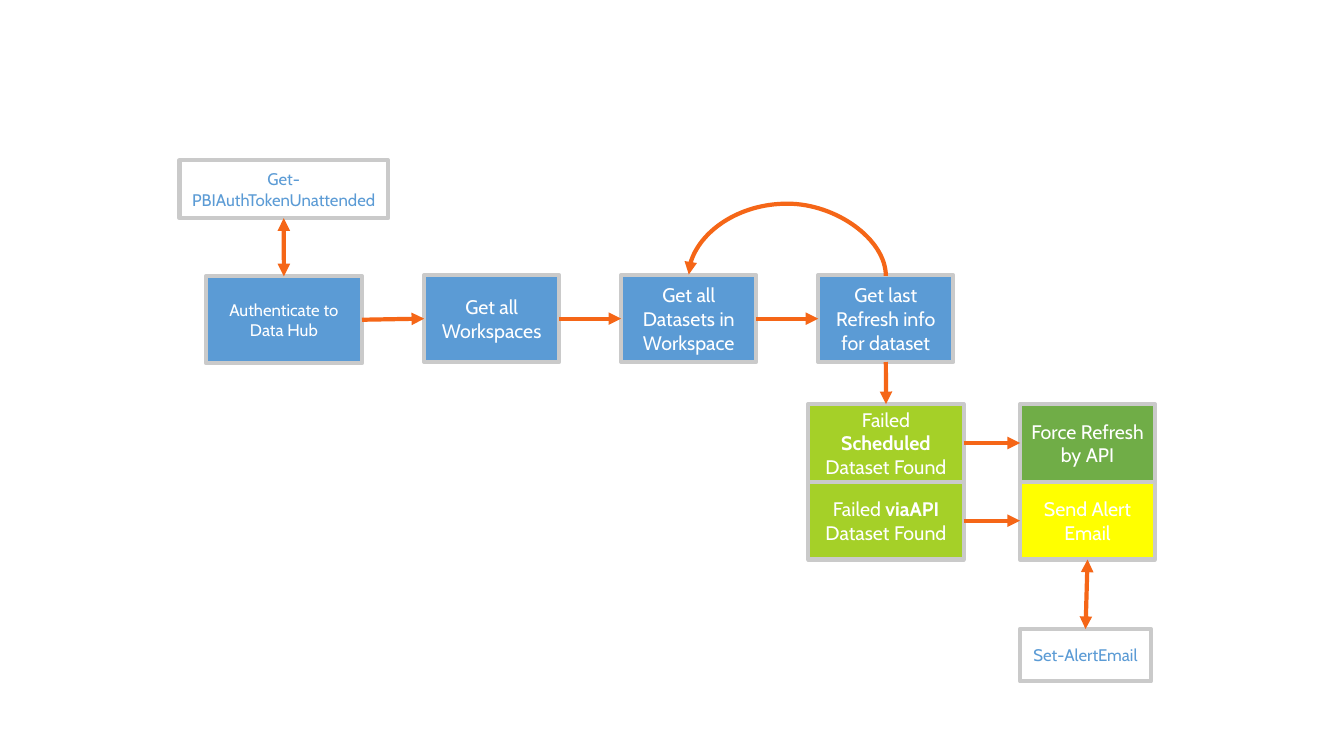
from lxml import etree
from pptx import Presentation
from pptx.dml.color import RGBColor
from pptx.enum.shapes import MSO_CONNECTOR, MSO_SHAPE
from pptx.enum.text import MSO_ANCHOR, PP_ALIGN
from pptx.oxml.ns import qn
from pptx.util import Pt

RECT = MSO_SHAPE.RECTANGLE
LINE, CURVE = MSO_CONNECTOR.STRAIGHT, MSO_CONNECTOR.CURVE
MIDDLE, CENTER = MSO_ANCHOR.MIDDLE, PP_ALIGN.CENTER
TOP, LEFT, BOTTOM, RIGHT = range(4)

WHITE = RGBColor(0xFF, 0xFF, 0xFF)
BLUE = RGBColor(0x5B, 0x9B, 0xD5)
GREY = RGBColor(0xCA, 0xCA, 0xCA)
ORANGE = RGBColor(0xF5, 0x66, 0x17)
LIME = RGBColor(0xA5, 0xD0, 0x28)
GREEN = RGBColor(0x70, 0xAD, 0x47)
YELLOW = RGBColor(0xFF, 0xFF, 0x00)


class Flow:
    """Draws flow chart boxes and arrows on one slide, in points."""

    def __init__(self, slide):
        self.shapes = slide.shapes
        self.font = {"name": "Cabin", "size": Pt(14), "bold": False}
        self.width = Pt(3)

    def stroke(self, item, color):
        item.line.color.rgb = color
        item.line.width = self.width

    def box(self, area, text, fill=BLUE, ink=WHITE, size=14, strong=""):
        box = self.shapes.add_shape(RECT, *map(Pt, area))
        box.shadow.inherit = False
        box.fill.solid()
        box.fill.fore_color.rgb = fill
        self.stroke(box, GREY)
        frame = box.text_frame
        frame.word_wrap = True
        frame.vertical_anchor = MIDDLE
        para = frame.paragraphs[0]
        para.alignment = CENTER
        before, mid, after = text.partition(strong) if strong else (text, "", "")
        for part in filter(None, (before, mid, after)):
            run = para.add_run()
            run.text = part
            style = {**self.font, "size": Pt(size), "bold": part == strong}
            for key, value in style.items():
                setattr(run.font, key, value)
            run.font.color.rgb = ink
        return box

    def arrow(self, start, out, end, into, both=False, kind=LINE):
        arrow = self.shapes.add_connector(kind, 0, 0, 0, 0)
        arrow.begin_connect(start, out)
        arrow.end_connect(end, into)
        self.stroke(arrow, ORANGE)
        line = arrow.line._get_or_add_ln()
        for tag in ("a:headEnd", "a:tailEnd") if both else ("a:tailEnd",):
            etree.SubElement(line, qn(tag), type="triangle")
        etree.SubElement(arrow._element.spPr, qn("a:effectLst"))
        return arrow

    def loop(self, start, end, rise):
        arrow = self.arrow(start, TOP, end, TOP, kind=CURVE)
        span = start.left - end.left
        mid = end.left + (span + end.width) // 2
        place = {"left": mid - Pt(0.5), "top": start.top - span // 2,
                 "width": Pt(1), "height": span}
        for key, value in place.items():
            setattr(arrow, key, value)
        props = arrow._element.spPr
        frame = props.find(qn("a:xfrm"))
        frame.attrib.pop("flipH", None)
        frame.set("rot", "16200000")
        frame.set("flipV", "1")
        shape = props.find(qn("a:prstGeom"))
        guides = shape.find(qn("a:avLst"))
        if guides is None:
            guides = etree.SubElement(shape, qn("a:avLst"))
        etree.SubElement(guides, qn("a:gd"), name="adj1", fmla=f"val {rise * 100000}")


def main():
    deck = Presentation()
    deck.slide_width, deck.slide_height = Pt(960), Pt(540)
    flow = Flow(deck.slides.add_slide(deck.slide_layouts[6]))

    login = flow.box((147, 197.4, 111.6, 62), "Authenticate to Data Hub", size=12)
    token = flow.box((128.2, 114.5, 149, 41.4), "Get-PBIAuthTokenUnattended",
                     WHITE, BLUE, 12)
    steps = ("Get all Workspaces", "Get all Datasets in Workspace",
             "Get last Refresh info for dataset")
    spaces, sets, last = [
        flow.box((303 + 140.75 * i, 196.6, 96.5, 62), text)
        for i, text in enumerate(steps)]

    rows = (("Scheduled ", "Force Refresh by API", GREEN),
            ("viaAPI ", "Send Alert Email", YELLOW))
    fails, acts = [], []
    for i, (cause, act, fill) in enumerate(rows):
        y = 288.7 + 55.5 * i
        fails.append(flow.box((577.4, y, 111, 55.5),
                              f"Failed {cause}Dataset Found", LIME, strong=cause))
        acts.append(flow.box((728.6, y, 96.5, 55.5), act, fill))
    alert = flow.box((728.6, 449.3, 93.6, 37.4), "Set-AlertEmail", WHITE, BLUE, 12)

    flow.arrow(login, TOP, token, BOTTOM, both=True)
    flow.arrow(alert, TOP, acts[1], BOTTOM, both=True)
    flow.arrow(last, BOTTOM, fails[0], TOP)
    pairs = [(login, spaces), (spaces, sets), (sets, last), *zip(fails, acts)]
    for start, end in pairs:
        flow.arrow(start, RIGHT, end, LEFT)
    flow.loop(last, sets, 52)
    deck.save("out.pptx")


if __name__ == "__main__":
    main()
